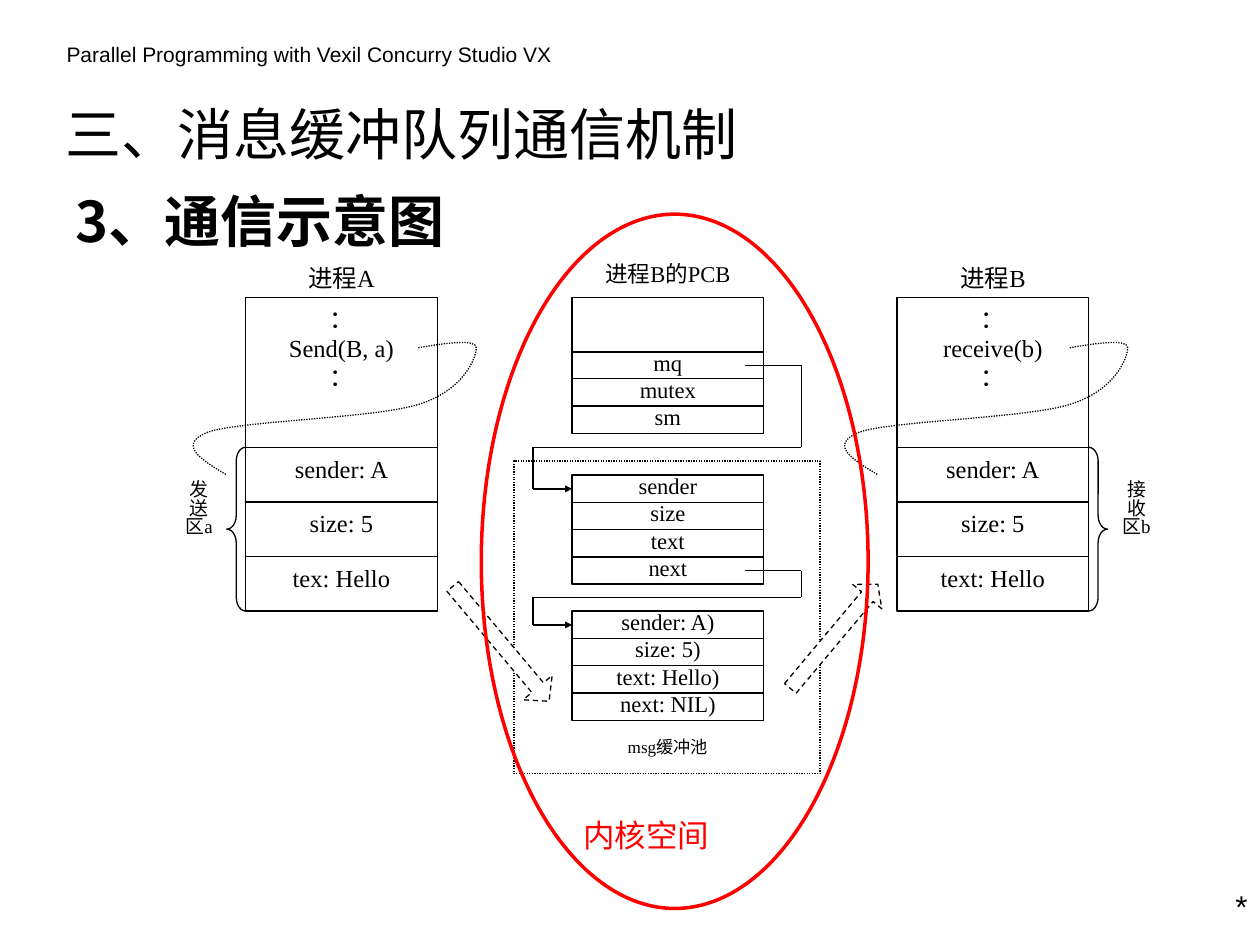
from lxml import etree
from pptx import Presentation
from pptx.dml.color import RGBColor
from pptx.enum.dml import MSO_LINE
from pptx.enum.shapes import MSO_CONNECTOR, MSO_SHAPE
from pptx.enum.text import MSO_ANCHOR, PP_ALIGN
from pptx.oxml.ns import qn
from pptx.util import Inches, Pt

RECT, OVAL, ARROW = MSO_SHAPE.RECTANGLE, MSO_SHAPE.OVAL, MSO_SHAPE.RIGHT_ARROW
LEFT_BRACE, RIGHT_BRACE = MSO_SHAPE.LEFT_BRACE, MSO_SHAPE.RIGHT_BRACE
STRAIGHT = MSO_CONNECTOR.STRAIGHT
DOT, DASH = MSO_LINE.ROUND_DOT, MSO_LINE.DASH
TOP, MIDDLE = MSO_ANCHOR.TOP, MSO_ANCHOR.MIDDLE
LEFT, CENTER, RIGHT = PP_ALIGN.LEFT, PP_ALIGN.CENTER, PP_ALIGN.RIGHT

THEME = {
    "black": RGBColor(0, 0, 0), "white": RGBColor(255, 255, 255), "red": RGBColor(255, 0, 0),
    "sans": "Arial", "cjk": "Noto Sans CJK SC", "serif": "Times New Roman",
    "heading": 32, "large": 18, "process": 14, "queue": 12.9, "header": 12,
    "area": 10.8, "pool": 9.8, "thin": 0.75, "thick": 2,
}

# Content
HEADER = "Parallel Programming with Vexil Concurry Studio VX"
TITLE = "三、消息缓冲队列通信机制"
SUBTITLE = "3、通信示意图"
PROCESSES = [
    {"x": 1.95, "name": "进程A", "code": ["：", "Send(B, a)", "："],
     "fields": ["sender: A", "size: 5", "tex: Hello"],
     "area": "发送区a", "area_x": 1.35, "area_w": 0.46, "brace": LEFT_BRACE, "brace_x": 1.8},
    {"x": 7.12, "name": "进程B", "code": ["：", "receive(b)", "："],
     "fields": ["sender: A", "size: 5", "text: Hello"],
     "area": "接收区b", "area_x": 8.8, "area_w": 0.44, "brace": RIGHT_BRACE, "brace_x": 8.64},
]
QUEUE = [  # top, rows
    (2.79, ["mq", "mutex", "sm"]),
    (3.77, ["sender", "size", "text", "next"]),
    (4.85, ["sender: A)", "size: 5)", "text: Hello)", "next: NIL)"]),
]
POINTERS = [(2.9, 3.55, 3.88), (4.53, 4.74, 4.96)]  # leave, turn back, arrive
TRANSFERS = [  # left, top, width, rotation, head length
    (3.38, 4.96, 1.19, 50, 0.47),
    (6.08, 4.9, 1.08, 310, 0.43),
]
# Bezier start, then three points a segment, measured from the left edge of a process
CALL_LINK = [
    (1.37, 2.76),
    (1.6, 2.72), (1.83, 2.69), (1.83, 2.76),
    (1.83, 2.84), (1.73, 3.1), (1.37, 3.21),
    (1.02, 3.32), (-0.05, 3.34), (-0.3, 3.43),
    (-0.55, 3.53), (-0.35, 3.65), (-0.15, 3.77),
]

# Layout
BOX_W, BOX_TOP, FIELD_TOP, FIELDS_H = 1.52, 2.36, 3.55, 1.3
FIELD_H = FIELDS_H / 3
ROW_H = FIELD_H / 2
QUEUE_X, POINTER_START, POINTER_RIGHT, POINTER_LEFT = 4.54, 5.91, 6.36, 4.23


def write(s, lines, size, font="serif", color="black", align=CENTER,
          bold=False, spacing=1.0, pad=0.05, anchor=TOP):
    tf = s.text_frame
    frame = {"word_wrap": True, "vertical_anchor": anchor,
             "margin_left": Inches(0.1), "margin_right": Inches(0.1),
             "margin_top": Inches(pad), "margin_bottom": Inches(pad)}
    for name, value in frame.items():
        setattr(tf, name, value)
    for i, line in enumerate(lines):
        p = tf.paragraphs[0] if i == 0 else tf.add_paragraph()
        p.alignment, p.line_spacing = align, spacing
        r = p.add_run()
        r.text = line
        for name, value in {"size": Pt(THEME[size]), "name": THEME[font], "bold": bold}.items():
            setattr(r.font, name, value)
        r.font.color.rgb = THEME[color]
        east_asian = etree.SubElement(r.font._element, qn("a:ea"))
        east_asian.set("typeface", THEME["cjk"])


def label(slide, box, text, size, **style):
    write(slide.shapes.add_textbox(*map(Inches, box)), [text], size, **style)


def outline(s, color="black", width="thin", dash=None):
    s.line.color.rgb = THEME[color]
    s.line.width = Pt(THEME[width])
    if dash is not None:
        s.line.dash_style = dash


def shape(slide, kind, box, filled=True, **line):
    s = slide.shapes.add_shape(kind, *map(Inches, box))
    s.shadow.inherit = False
    if filled:
        s.fill.solid()
        s.fill.fore_color.rgb = THEME["white"]
    else:
        s.fill.background()
    outline(s, **line)
    return s


def stack(slide, x, top, height, rows, size, **style):
    for i, text in enumerate(rows):
        write(shape(slide, RECT, (x, top + i * height, BOX_W, height)), [text], size, **style)


def call_link(slide, x):
    """Dotted curve: each three line segments become one cubic Bezier."""
    points = [(Inches(x + px), Inches(py)) for px, py in CALL_LINK]
    builder = slide.shapes.build_freeform(*points[0])
    builder.add_line_segments(points[1:], close=False)
    s = builder.convert_to_shape()
    s.shadow.inherit = False
    s.fill.background()
    outline(s, dash=DOT)
    segments = list(s._element.iter(qn("a:lnTo")))
    for i in range(0, len(segments), 3):
        curve = etree.SubElement(segments[i].getparent(), qn("a:cubicBezTo"))
        for segment in segments[i:i + 3]:
            curve.append(segment[0])
            segment.getparent().remove(segment)


def pointer(slide, leave, turn, arrive):
    """Chain of straight lines from one queue row to the next buffer."""
    stops = [(POINTER_START, leave), (POINTER_RIGHT, leave), (POINTER_RIGHT, turn),
             (POINTER_LEFT, turn), (POINTER_LEFT, arrive), (QUEUE_X, arrive)]
    for start, end in zip(stops, stops[1:]):
        s = slide.shapes.add_connector(STRAIGHT, *map(Inches, start + end))
        outline(s)
        if end == stops[-1]:
            head = etree.SubElement(s.line._get_or_add_ln(), qn("a:tailEnd"))
            for name, value in {"type": "triangle", "w": "sm", "len": "sm"}.items():
                head.set(name, value)
        etree.SubElement(s._element.spPr, qn("a:effectLst"))


def process(slide, x, name, code, fields, area, area_x, area_w, brace, brace_x):
    write(shape(slide, RECT, (x, BOX_TOP, BOX_W, FIELD_TOP - BOX_TOP)), code, "process")
    label(slide, (x, 2.04, BOX_W, 0.44), name, "process")
    stack(slide, x, FIELD_TOP, FIELD_H, fields, "process")
    s = shape(slide, brace, (brace_x, FIELD_TOP, 0.15, FIELDS_H), filled=False)
    s.adjustments[0] = 0.72
    label(slide, (area_x, 3.78, area_w, 0.87), area, "area", spacing=0.8)
    call_link(slide, x)


def main():
    prs = Presentation()
    prs.slide_width, prs.slide_height = Inches(10), Inches(7.5)
    slide = prs.slides.add_slide(prs.slide_layouts[6])

    label(slide, (0.43, 0.28, 4.4, 0.3), HEADER, "header", font="sans", align=LEFT)
    label(slide, (0.42, 0.68, 5.67, 0.75), TITLE, "heading", font="cjk", align=LEFT, anchor=MIDDLE)
    label(slide, (0.5, 1.43, 9.25, 0.83), SUBTITLE, "heading", font="cjk", align=LEFT, bold=True)

    for item in PROCESSES:
        process(slide, **item)

    for top, rows in QUEUE:
        stack(slide, QUEUE_X, top, ROW_H, rows, "queue", spacing=0.9, pad=0)
    shape(slide, RECT, (QUEUE_X, BOX_TOP, BOX_W, FIELD_H))
    label(slide, (QUEUE_X, 2.04, BOX_W, 0.33), "进程B的PCB", "queue", spacing=0.9)
    for levels in POINTERS:
        pointer(slide, *levels)
    shape(slide, RECT, (4.08, 3.66, 2.43, 2.48), filled=False, dash=DOT)
    label(slide, (4.39, 5.83, 1.82, 0.27), "msg缓冲池", "pool", spacing=0.8)

    for x, y, width, rotation, head in TRANSFERS:
        s = shape(slide, ARROW, (x, y, width, 0.3), dash=DASH)
        s.rotation = rotation
        s.adjustments[0], s.adjustments[1] = 0.4, head

    label(slide, (9.02, 6.99, 0.98, 0.4), "*", "large", font="sans", align=RIGHT)
    label(slide, (4.53, 6.43, 1.81, 0.4), "内核空间", "large", font="sans", color="red", align=LEFT)
    shape(slide, OVAL, (3.82, 1.7, 3.07, 5.51), filled=False, color="red", width="thick")
    prs.save("out.pptx")


if __name__ == "__main__":
    main()
